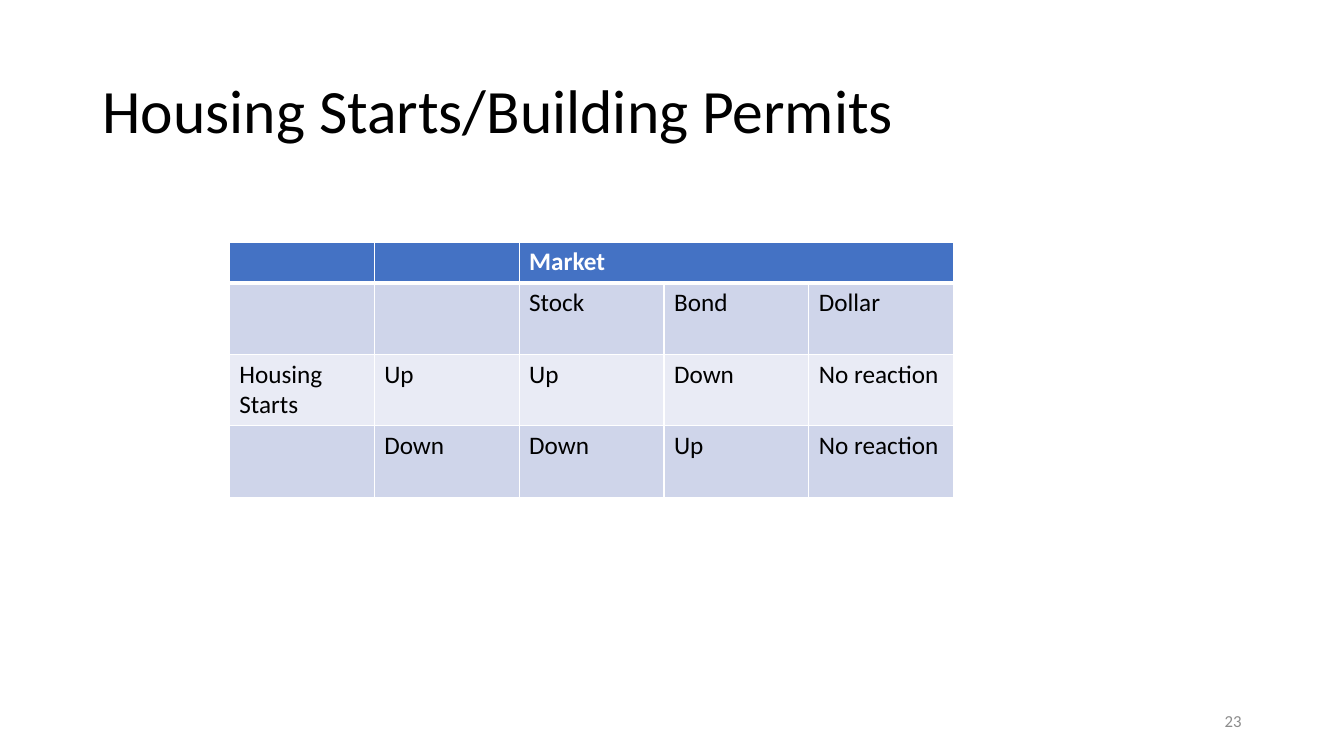
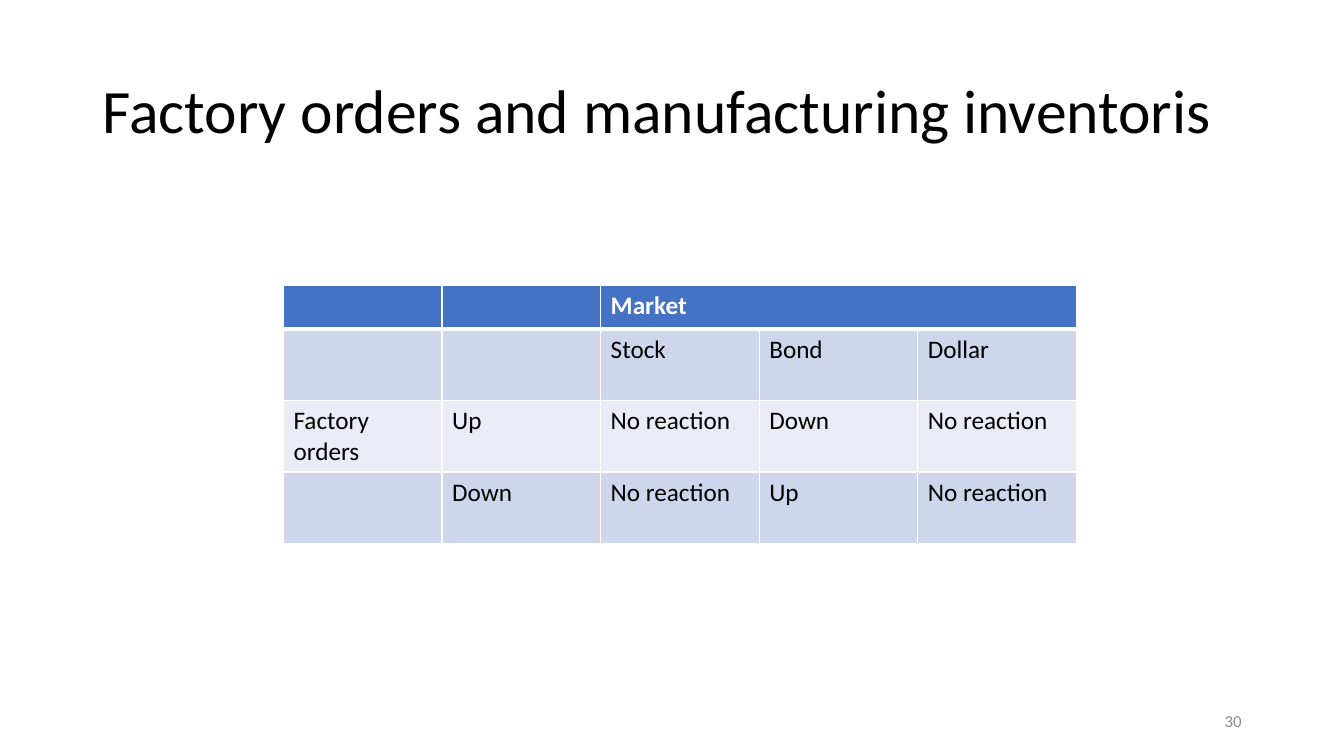
import pptx
import pptx.dml.color
import pptx.enum.text
import pptx.oxml
import pptx.oxml.ns
import pptx.util

Pt = pptx.util.Pt
FONT = "Calibri"
BLACK, WHITE, GREY = "000000", "FFFFFF", "8C8C8C"
HEADER_FILL, BANDS = "4472C4", ("CFD5EA", "E9EBF5")
BODY_ROW_HEIGHT = 51
THIN, THICK = 1, 3
LEFT, RIGHT = pptx.enum.text.PP_ALIGN.LEFT, pptx.enum.text.PP_ALIGN.RIGHT
MIDDLE = pptx.enum.text.MSO_ANCHOR.MIDDLE


def rgb(value):
    """Return the colour for a hex string."""
    return pptx.dml.color.RGBColor.from_string(value)


def write(tf, text, size, color, align=LEFT, bold=False):
    """Fill a text frame with one formatted paragraph."""
    tf.text = text
    p = tf.paragraphs[0]
    p.alignment = align
    p.font.name, p.font.size, p.font.bold = FONT, Pt(size), bold
    p.font.color.rgb = rgb(color)
    return p


def set_title(slide, text):
    """Place and format the title placeholder."""
    sp = slide.shapes.title
    sp.left, sp.top, sp.width, sp.height = Pt(66), Pt(28.8), Pt(828), Pt(104.4)
    tf = sp.text_frame
    tf.word_wrap = True
    tf.auto_size = pptx.enum.text.MSO_AUTO_SIZE.NONE
    tf.vertical_anchor = MIDDLE
    write(tf, text, 44, BLACK).line_spacing = 0.9


def add_page_number(slide, number):
    """Add the page number at the bottom right."""
    tf = slide.shapes.add_textbox(Pt(678), Pt(500.5), Pt(216), Pt(28.8)).text_frame
    tf.word_wrap = True
    tf.vertical_anchor = MIDDLE
    write(tf, str(number), 12, GREY, RIGHT)


def set_borders(cell, top, bottom):
    """Draw white borders around a cell, with widths in points."""
    tcPr = cell._tc.get_or_add_tcPr()
    for side, width in (("L", THIN), ("R", THIN), ("T", top), ("B", bottom)):
        tcPr.append(pptx.oxml.parse_xml(
            f'<a:ln{side} {pptx.oxml.ns.nsdecls("a")} w="{Pt(width)}"><a:solidFill>'
            f'<a:srgbClr val="{WHITE}"/></a:solidFill></a:ln{side}>'))


def add_reaction_table(slide, left, top, col_width, header_height, indicator, up, down):
    """Add the table of market reactions to one indicator."""
    rows = [
        ("", "", "Market", "", ""),
        ("", "", "Stock", "Bond", "Dollar"),
        (indicator, "Up", *up),
        ("", "Down", *down),
    ]
    heights = [header_height] + [BODY_ROW_HEIGHT] * (len(rows) - 1)
    table = slide.shapes.add_table(
        len(rows), len(rows[0]), Pt(left), Pt(top),
        Pt(col_width * len(rows[0])), Pt(sum(heights))).table
    for col in table.columns:
        col.width = Pt(col_width)
    for i, (texts, height) in enumerate(zip(rows, heights)):
        table.rows[i].height = Pt(height)
        header = i == 0
        for j, text in enumerate(texts):
            cell = table.cell(i, j)
            set_borders(cell, THICK if i == 1 else THIN, THICK if header else THIN)
            cell.fill.solid()
            cell.fill.fore_color.rgb = rgb(HEADER_FILL if header else BANDS[(i - 1) % 2])
            write(cell.text_frame, text, 18, WHITE if header else BLACK, bold=header)
    table.cell(0, 2).merge(table.cell(0, 4))


def add_slide(prs, title, number, **table):
    """Add a slide with a title, a reaction table and a page number."""
    slide = prs.slides.add_slide(prs.slide_layouts.get_by_name("Title Only"))
    set_title(slide, title)
    add_reaction_table(slide, **table)
    add_page_number(slide, number)


def main():
    """Build and save the presentation."""
    prs = pptx.Presentation()
    prs.slide_width, prs.slide_height = Pt(960), Pt(540)
    add_slide(prs, "Housing Starts/Building Permits", 23,
              left=163.8, top=172.8, col_width=103.5, header_height=29.2,
              indicator="Housing Starts",
              up=("Up", "Down", "No reaction"),
              down=("Down", "Up", "No reaction"))
    add_slide(prs, "Factory orders and manufacturing inventoris", 30,
              left=202.5, top=204, col_width=113.3, header_height=31,
              indicator="Factory orders",
              up=("No reaction", "Down", "No reaction"),
              down=("No reaction", "Up", "No reaction"))
    prs.save("out.pptx")


if __name__ == "__main__":
    main()
